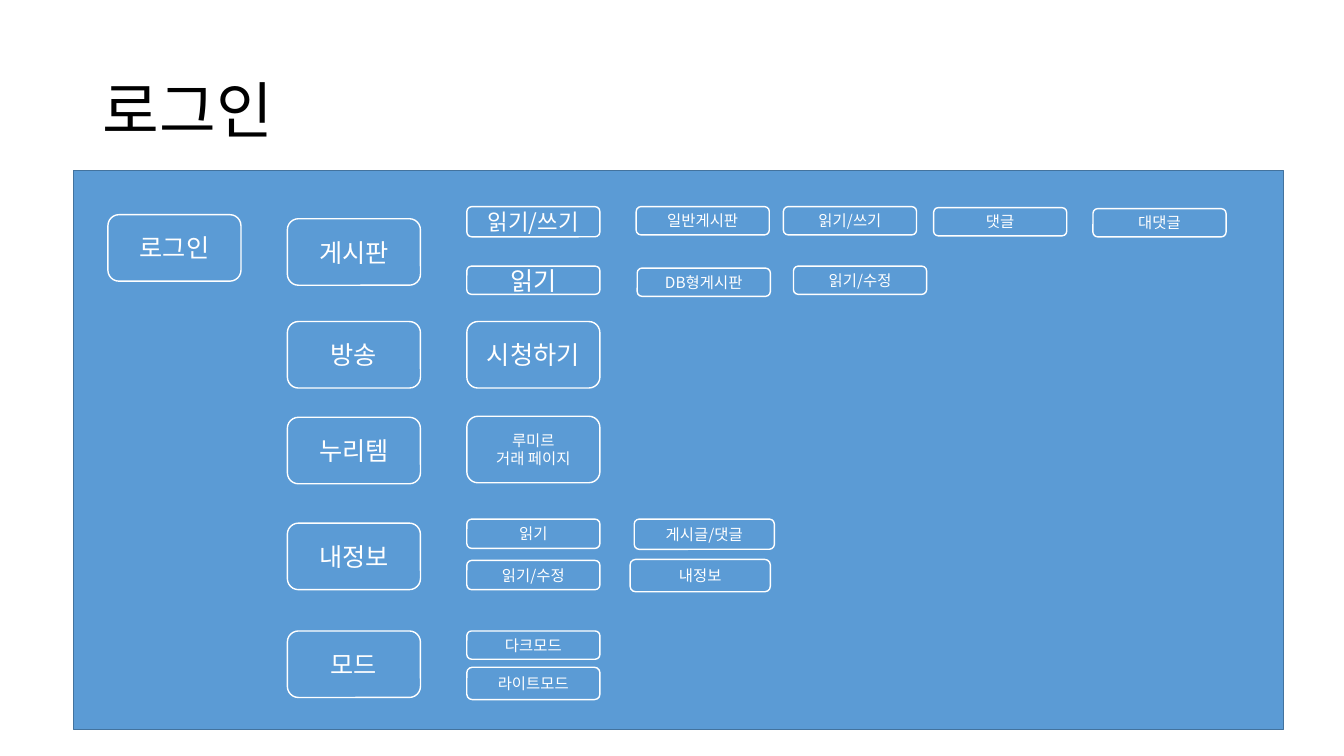
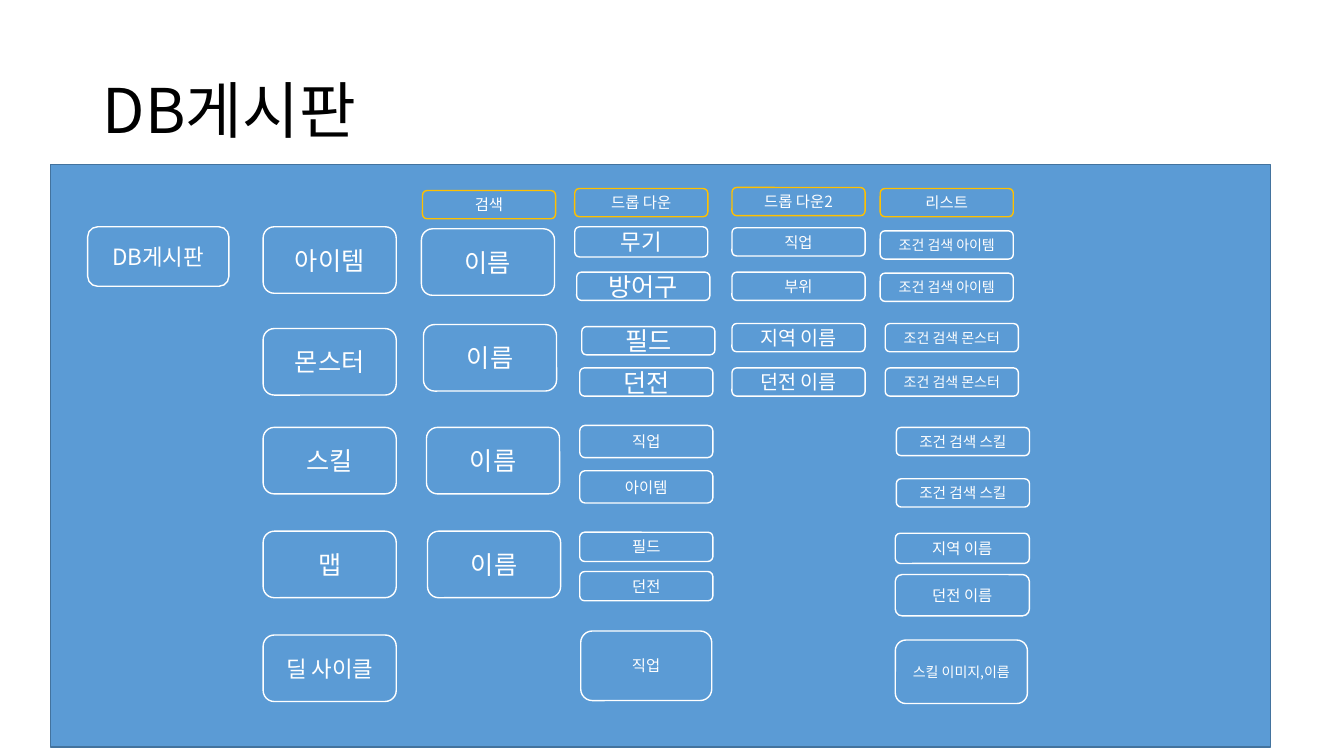
from pptx import Presentation
from pptx.dml.color import RGBColor
from pptx.enum.shapes import MSO_SHAPE
from pptx.enum.text import MSO_ANCHOR, MSO_AUTO_SIZE, PP_ALIGN
from pptx.oxml.ns import qn
from pptx.util import Inches, Pt

BLUE = RGBColor(0x5B, 0x9B, 0xD5)
NAVY = RGBColor(0x43, 0x73, 0x9E)
WHITE = RGBColor(0xFF, 0xFF, 0xFF)
GOLD = RGBColor(0xFF, 0xC0, 0x00)
BLACK = RGBColor(0x00, 0x00, 0x00)
FONT = "Noto Sans CJK KR"


class Deck:
    """Hold the presentation, its style and the current slide."""

    def __init__(self):
        self.prs = Presentation()
        self.prs.slide_width, self.prs.slide_height = Inches(13.33), Inches(7.5)

    def slide(self, title, panel):
        """Add a slide with a title and a blue panel."""
        self.s = self.prs.slides.add_slide(self.prs.slide_layouts[5])
        sp = self.s.shapes.title
        place = {"left": 0.92, "top": 0.4, "width": 11.5, "height": 1.45}
        for name, value in place.items():
            setattr(sp, name, Inches(value))
        self.text(sp, title, 44, BLACK, alignment=PP_ALIGN.LEFT, line_spacing=0.9)
        self.shape(MSO_SHAPE.RECTANGLE, panel, NAVY)

    def text(self, sp, text, size, color, **para):
        """Write formatted text into a shape."""
        tf = sp.text_frame
        tf.text = text
        frame = {"word_wrap": True, "auto_size": MSO_AUTO_SIZE.NONE,
                 "vertical_anchor": MSO_ANCHOR.MIDDLE}
        for name, value in frame.items():
            setattr(tf, name, value)
        for p in tf.paragraphs:
            for name, value in para.items():
                setattr(p, name, value)
            for r in p.runs:
                for name, value in {"name": FONT, "size": Pt(size)}.items():
                    setattr(r.font, name, value)
                r.font.color.rgb = color
                ea = r.font._element.makeelement(qn("a:ea"), {"typeface": FONT})
                r.font._element.append(ea)

    def shape(self, kind, box, line):
        """Add a flat blue shape with a thin outline."""
        sp = self.s.shapes.add_shape(kind, *map(Inches, box))
        sp.shadow.inherit = False
        sp.fill.solid()
        sp.fill.fore_color.rgb = BLUE
        sp.line.color.rgb = line
        sp.line.width = Pt(1)
        return sp

    def column(self, x, items, size=11, h=0.28, w=1.32, line=WHITE):
        """Stack rounded boxes, given as top and text, at one left edge."""
        for y, text in items:
            sp = self.shape(MSO_SHAPE.ROUNDED_RECTANGLE, (x, y, w, h), line)
            self.text(sp, text, size, WHITE, alignment=PP_ALIGN.CENTER)

    def row(self, items, size=11, h=0.28, line=WHITE):
        """Lay out rounded boxes given as left, top and text."""
        for x, y, text in items:
            self.column(x, [(y, text)], size, h, line=line)


def login_slide(deck):
    """Build the site map behind the login."""
    deck.slide("로그인", (0.73, 1.69, 12, 5.55))
    deck.column(1.07, [(2.13, "로그인")], 18, 0.66)
    deck.column(2.85, [(2.17, "게시판"), (3.19, "방송"), (4.14, "누리템"),
                       (5.19, "내정보"), (6.26, "모드")], 18, 0.66)

    deck.column(4.63, [(2.05, "읽기/쓰기")], 16, 0.3)
    deck.column(4.63, [(2.64, "읽기")], 18)
    deck.column(4.63, [(3.19, "시청하기")], 18, 0.66)
    deck.column(4.63, [(4.13, "루미르\n거래 페이지")], h=0.66)
    deck.column(4.63, [(5.15, "읽기"), (5.56, "읽기/수정")], h=0.29)
    deck.column(4.63, [(6.26, "다크모드")])
    deck.column(4.63, [(6.62, "라이트모드")], h=0.32)

    deck.row([(6.31, 2.05, "일반게시판"), (7.77, 2.05, "읽기/쓰기"),
              (9.26, 2.06, "댓글"), (10.84, 2.07, "대댓글"),
              (6.32, 2.66, "DB형게시판"), (7.87, 2.64, "읽기/수정")])
    deck.column(6.29, [(5.15, "게시글/댓글")], h=0.3, w=1.39)
    deck.column(6.25, [(5.55, "내정보")], h=0.32, w=1.39)


def board_slide(deck):
    """Build the search structure of the database board."""
    deck.slide("DB게시판", (0.5, 1.63, 12.1, 5.78))
    deck.column(0.87, [(2.25, "DB게시판")], 16, 0.59, 1.4)
    deck.column(2.61, [(2.25, "아이템"), (3.26, "몬스터"),
                       (4.24, "스킬"), (5.27, "맵")], 18, 0.66)
    deck.column(2.61, [(6.3, "딜 사이클")], 16, 0.66)

    deck.row([(4.19, 1.89, "검색"), (5.7, 1.87, "드롭 다운"),
              (7.26, 1.86, "드롭 다운2"), (8.73, 1.87, "리스트")], line=GOLD)
    names = [(4.18, 2.27), (4.2, 3.22), (4.23, 4.24), (4.24, 5.27)]
    deck.row([(x, y, "이름") for x, y in names], 18, 0.66)

    deck.column(5.7, [(2.25, "무기")], 16, 0.3)
    deck.row([(5.72, 2.7, "방어구"), (5.77, 3.24, "필드"), (5.75, 3.65, "던전")], 18)
    deck.column(5.75, [(4.22, "직업"), (4.67, "아이템")], h=0.32)
    deck.column(5.75, [(5.28, "필드"), (5.67, "던전")], h=0.29)
    deck.column(5.76, [(6.26, "직업")], h=0.69, w=1.3)

    deck.column(7.26, [(2.26, "직업"), (2.7, "부위")])
    deck.column(7.26, [(3.21, "지역 이름"), (3.65, "던전 이름")], 14)

    results = [(8.73, (2.29, 2.71), "아이템", 10),
               (8.78, (3.21, 3.65), "몬스터", 10),
               (8.89, (4.24, 4.75), "스킬", 10.5)]
    for x, tops, target, size in results:
        deck.column(x, [(y, f"조건 검색 {target}") for y in tops], size)
    deck.column(8.88, [(5.29, "지역 이름")], h=0.3, w=1.33)
    deck.column(8.88, [(5.7, "던전 이름")], h=0.41, w=1.33)
    deck.column(8.88, [(6.35, "스킬 이미지,이름")], 10, 0.63, 1.31)


def main():
    """Build and save the deck."""
    deck = Deck()
    login_slide(deck)
    board_slide(deck)
    deck.prs.save("out.pptx")


if __name__ == "__main__":
    main()
